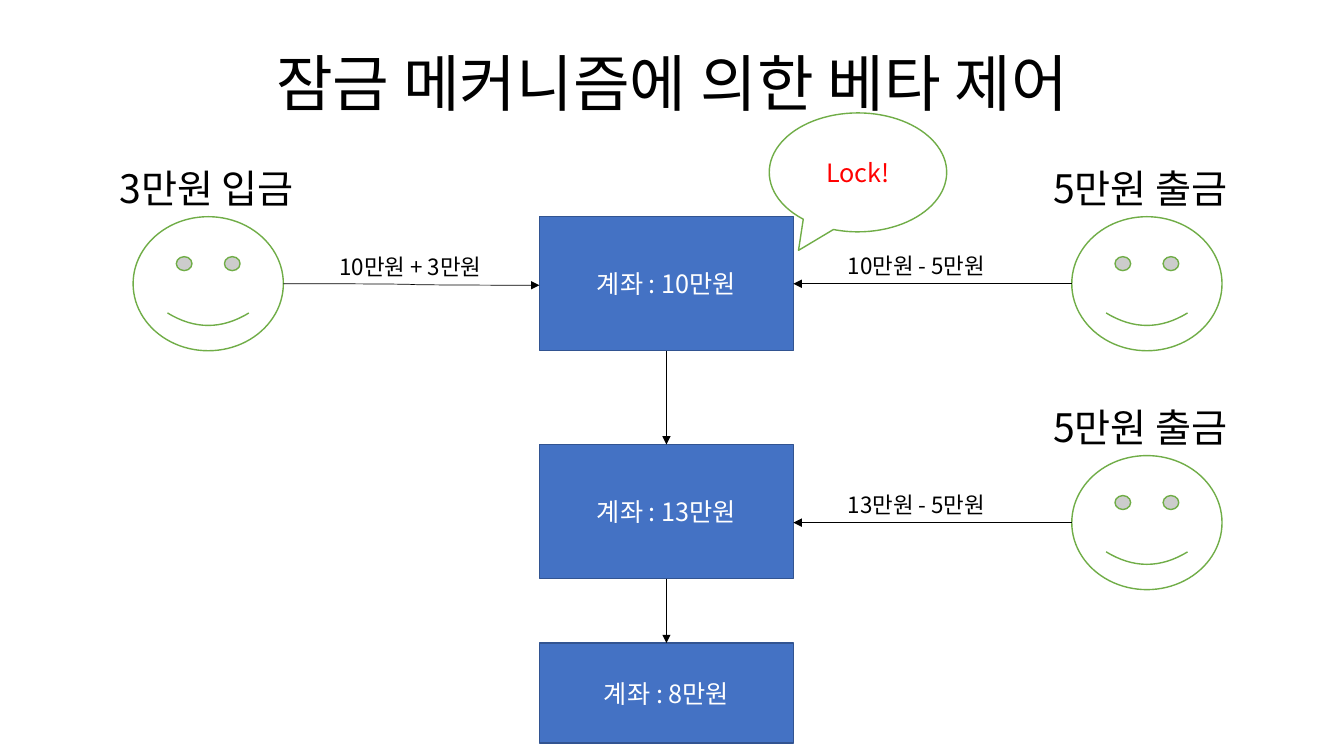
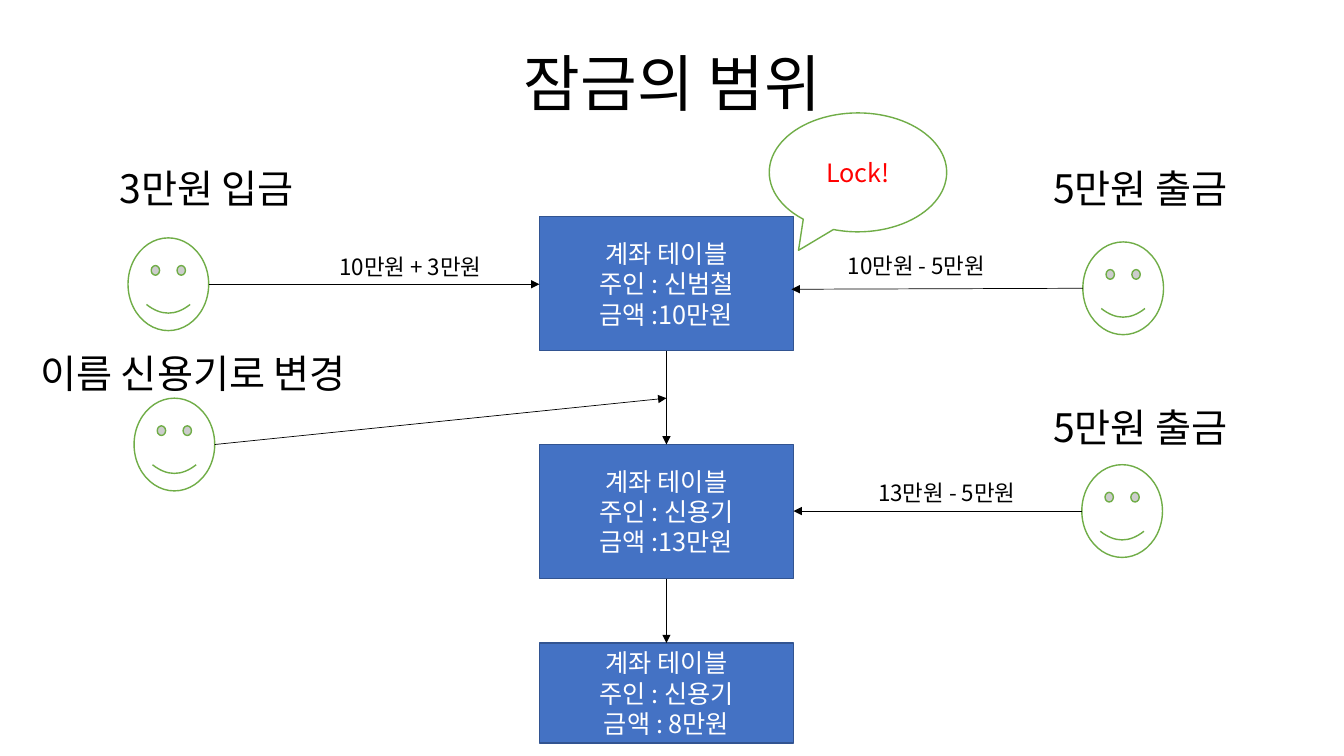
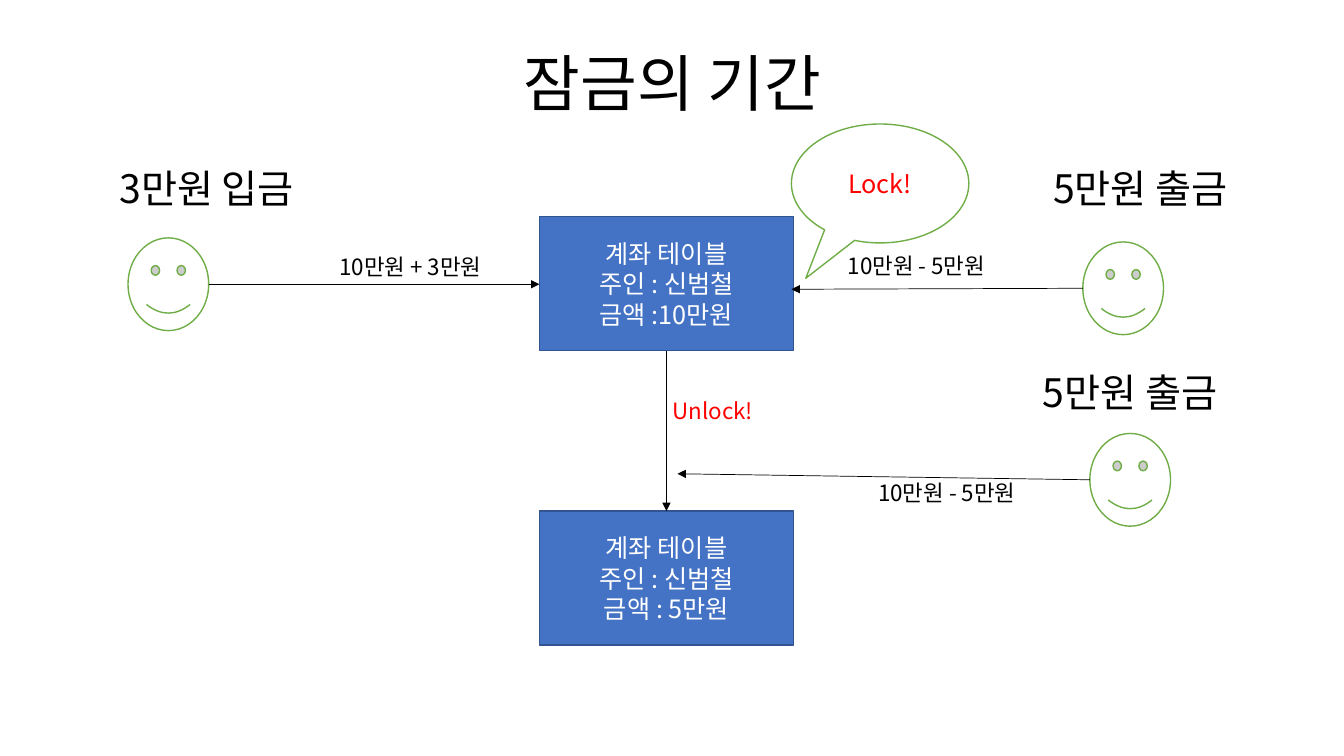
from lxml.etree import SubElement
from pptx import Presentation
from pptx.dml.color import RGBColor
from pptx.enum.shapes import MSO_CONNECTOR as Connector, MSO_SHAPE as Shape
from pptx.enum.text import MSO_ANCHOR as Anchor, PP_ALIGN as Align
from pptx.oxml.ns import qn
from pptx.util import Inches, Pt

FONT = "Noto Sans CJK KR"
COLORS = {
    "text": "000000",
    "alert": "FF0000",
    "paper": "FFFFFF",
    "account": "4472C4",
    "account_line": "325491",
    "face_line": "70AD47",
}

# Shared measures, in inches
TITLE_BOX = (0.92, 0.13, 11.5, 1.45)
ACCOUNT_LEFT, ACCOUNT_WIDTH, ACCOUNT_HEIGHT = 5.35, 2.52, 1.33
ACCOUNT_RIGHT = ACCOUNT_LEFT + ACCOUNT_WIDTH
ACCOUNT_CENTER = ACCOUNT_LEFT + ACCOUNT_WIDTH / 2
FIRST_TOP = 2.15
LABEL_WIDTH, LABEL_HEIGHT = 2.52, 0.57
AMOUNT_WIDTH, AMOUNT_HEIGHT = 2.52, 0.37
BIG_FACE, SMALL_FACE = (1.49, 1.33), (0.8, 0.92)
CALLOUT_SIZE = (1.76, 1.18)


def color(name):
    return RGBColor.from_string(COLORS[name])


def inches(values):
    return [Inches(value) for value in values]


def write_lines(frame, lines, size, color_name="text"):
    """Fill a text frame with centred paragraphs."""
    frame.word_wrap = True
    for index, line in enumerate(lines):
        paragraph = frame.paragraphs[0] if index == 0 else frame.add_paragraph()
        paragraph.text = line
        paragraph.alignment = Align.CENTER
        font = paragraph.font
        font.size = Pt(size)
        font.name = FONT
        font.color.rgb = color(color_name)
        # Korean letters take the East Asian typeface
        properties = paragraph._p.pPr.find(qn("a:defRPr"))
        SubElement(properties, qn("a:ea"), typeface=FONT)


def add_title(slide, text):
    title = slide.shapes.title
    title.left, title.top, title.width, title.height = inches(TITLE_BOX)
    title.text_frame.vertical_anchor = Anchor.MIDDLE
    write_lines(title.text_frame, [text], 44)
    title.text_frame.paragraphs[0].line_spacing = 0.9


def add_label(slide, text, box, size, color_name="text"):
    label = slide.shapes.add_textbox(*inches(box))
    write_lines(label.text_frame, [text], size, color_name)


def add_amount(slide, text, left, top, color_name="text"):
    add_label(slide, text, (left, top, AMOUNT_WIDTH, AMOUNT_HEIGHT), 16, color_name)


def add_outlined(slide, kind, box, fill, line):
    shape = slide.shapes.add_shape(kind, *inches(box))
    shape.shadow.inherit = False
    shape.fill.solid()
    shape.fill.fore_color.rgb = color(fill)
    shape.line.color.rgb = color(line)
    shape.line.width = Pt(1)
    return shape


def add_arrow(slide, start, end, kind=Connector.STRAIGHT):
    arrow = slide.shapes.add_connector(kind, *inches((*start, *end)))
    arrow.line.color.rgb = color("text")
    arrow.line.width = Pt(0.5)
    SubElement(arrow.line._get_or_add_ln(), qn("a:tailEnd"), type="triangle")
    SubElement(arrow._element.spPr, qn("a:effectLst"))


def add_accounts(slide, accounts):
    """Stack account boxes (top, height, lines), joined by downward arrows."""
    previous_bottom = None
    for top, height, lines in accounts:
        box = (ACCOUNT_LEFT, top, ACCOUNT_WIDTH, height)
        account = add_outlined(slide, Shape.RECTANGLE, box, "account", "account_line")
        account.text_frame.vertical_anchor = Anchor.MIDDLE
        write_lines(account.text_frame, lines, 18, "paper")
        if previous_bottom is not None:
            add_arrow(slide, (ACCOUNT_CENTER, previous_bottom), (ACCOUNT_CENTER, top))
        previous_bottom = top + height


def add_client(slide, label, label_at, face_at, face_size, target,
               label_width=LABEL_WIDTH, kind=Connector.STRAIGHT):
    """Label, face, and an arrow from the face's near side to the target."""
    add_label(slide, label, (*label_at, label_width, LABEL_HEIGHT), 28)
    left, top = face_at
    width, height = face_size
    add_outlined(slide, Shape.SMILEY_FACE, (left, top, width, height),
                 "paper", "face_line")
    start_x = left + width if target[0] > left else left
    add_arrow(slide, (start_x, top + height / 2), target, kind)


def add_lock(slide, left, top, tip):
    callout = add_outlined(slide, Shape.OVAL_CALLOUT, (left, top, *CALLOUT_SIZE),
                           "paper", "face_line")
    for index, offset in enumerate(tip):
        callout.adjustments[index] = offset
    callout.text_frame.vertical_anchor = Anchor.MIDDLE
    write_lines(callout.text_frame, ["Lock!"], 18, "alert")


def account_table(owner, balance):
    return ["계좌 테이블", f"주인 : {owner}", f"금액 :{balance}"]


def add_first_amounts(slide):
    add_amount(slide, "10만원 + 3만원", 2.81, 2.46)
    add_amount(slide, "10만원 - 5만원", 7.83, 2.45)


def add_first_clients(slide):
    """Small-faced clients beside the first account table."""
    add_client(slide, "3만원 입금", (0.79, 1.58), (1.27, 2.36), SMALL_FACE,
               (ACCOUNT_LEFT, 2.82))
    add_client(slide, "5만원 출금", (10.05, 1.58), (10.74, 2.4), SMALL_FACE,
               (7.85, 2.87))
    add_first_amounts(slide)


def build_mechanism(slide):
    add_title(slide, "잠금 메커니즘에 의한 베타 제어")
    add_accounts(slide, [
        (FIRST_TOP, ACCOUNT_HEIGHT, ["계좌 : 10만원"]),
        (4.41, ACCOUNT_HEIGHT, ["계좌 : 13만원"]),
        (6.38, 0.99, ["계좌 : 8만원"]),
    ])
    add_client(slide, "3만원 입금", (0.79, 1.58), (1.32, FIRST_TOP), BIG_FACE,
               (ACCOUNT_LEFT, 2.83), kind=Connector.CURVE)
    for label_top, face_top in ((1.58, FIRST_TOP), (3.95, 4.52)):
        add_client(slide, "5만원 출금", (10.05, label_top), (10.63, face_top),
                   BIG_FACE, (ACCOUNT_RIGHT, face_top + BIG_FACE[1] / 2))
    add_first_amounts(slide)
    add_amount(slide, "13만원 - 5만원", 7.83, 4.82)
    add_lock(slide, 7.63, 1.12, (-0.335, 0.656))


def build_scope(slide):
    add_title(slide, "잠금의 범위")
    add_accounts(slide, [
        (FIRST_TOP, ACCOUNT_HEIGHT, account_table("신범철", "10만원")),
        (4.41, ACCOUNT_HEIGHT, account_table("신용기", "13만원")),
        (6.38, 0.99, account_table("신용기", " 8만원")),
    ])
    add_first_clients(slide)
    add_client(slide, "이름 신용기로 변경", (0, 3.42), (1.33, 3.95), SMALL_FACE,
               (ACCOUNT_CENTER, 3.95), label_width=3.83)
    add_client(slide, "5만원 출금", (10.05, 3.95), (10.73, 4.61), SMALL_FACE,
               (ACCOUNT_RIGHT, 5.07))
    add_amount(slide, "13만원 - 5만원", 8.13, 4.7)
    add_lock(slide, 7.63, 1.12, (-0.335, 0.656))


def build_duration(slide):
    add_title(slide, "잠금의 기간")
    add_accounts(slide, [
        (FIRST_TOP, ACCOUNT_HEIGHT, account_table("신범철", "10만원")),
        (5.07, ACCOUNT_HEIGHT, account_table("신범철", " 5만원")),
    ])
    add_first_clients(slide)
    add_client(slide, "5만원 출금", (9.95, 3.6), (10.81, 4.3), SMALL_FACE,
               (6.72, 4.7))
    add_amount(slide, "10만원 - 5만원", 8.13, 4.7)
    add_amount(slide, "Unlock!", 5.81, 3.89, "alert")
    add_lock(slide, 7.85, 1.23, (-0.419, 0.797))


def main():
    presentation = Presentation()
    presentation.slide_width, presentation.slide_height = inches((13.33, 7.5))
    title_only = presentation.slide_layouts[5]
    for build in (build_mechanism, build_scope, build_duration):
        build(presentation.slides.add_slide(title_only))
    presentation.save("out.pptx")


if __name__ == "__main__":
    main()
